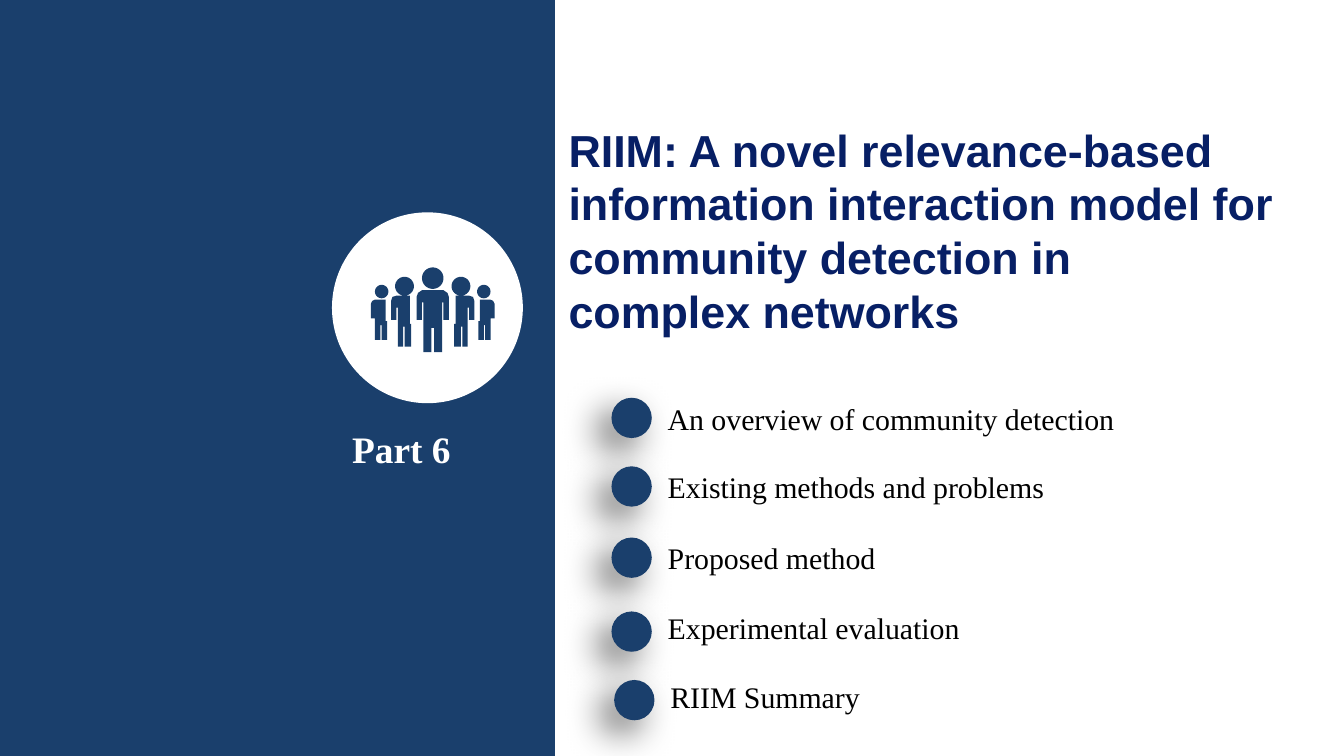
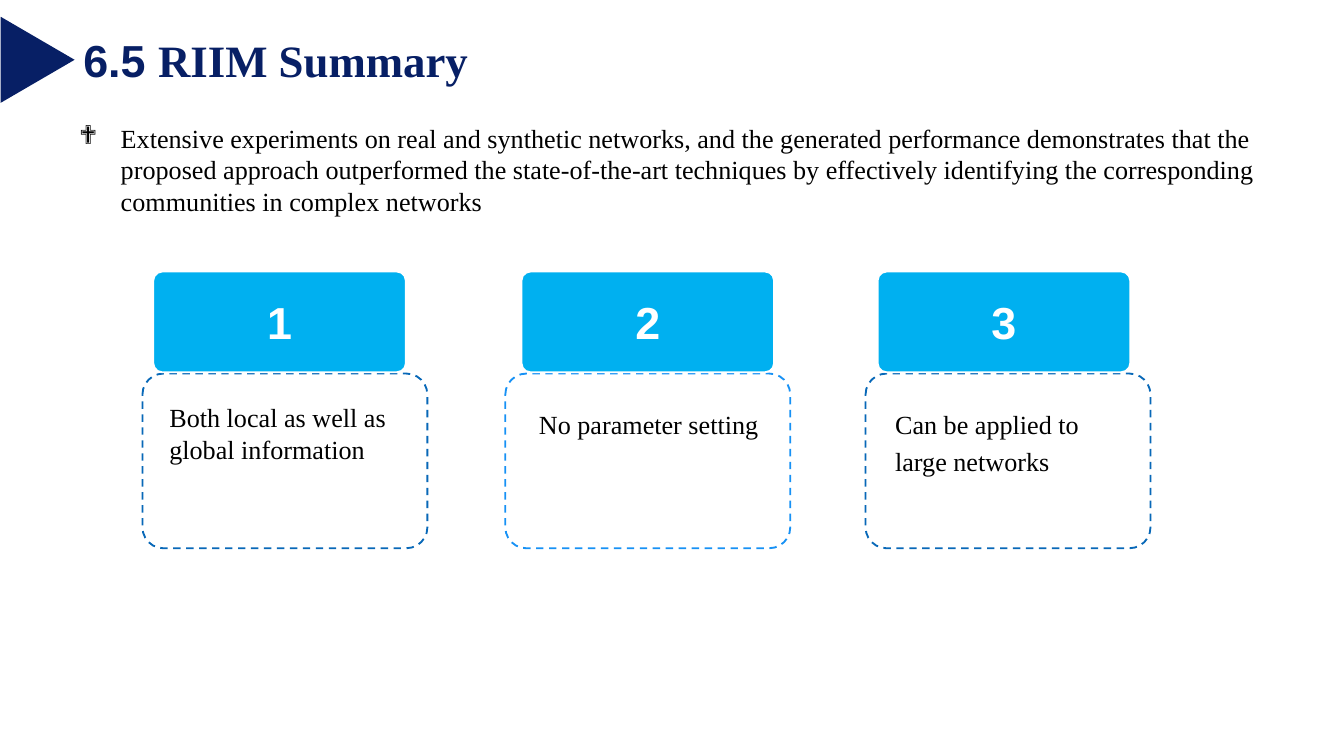
import math

from lxml import etree
from pptx import Presentation
from pptx.dml.color import RGBColor
from pptx.enum import dml, shapes, text
from pptx.oxml import ns
from pptx.util import Inches, Pt

SLIDE_WIDTH = 10
SLIDE_HEIGHT = SLIDE_WIDTH * 9 / 16
NAVY = RGBColor(0x07, 0x1F, 0x65)
STEEL = RGBColor(0x1A, 0x3F, 0x6C)
SKY = RGBColor(0x00, 0xB0, 0xF0)
DEEP_BLUE = RGBColor(0x08, 0x68, 0xB8)
BRIGHT_BLUE = RGBColor(0x17, 0x91, 0xF5)
WHITE = RGBColor(0xFF, 0xFF, 0xFF)
BLACK = RGBColor(0, 0, 0)
SANS, SERIF = "Arial", "Times New Roman"
INSETS = (0.1, 0.05, 0.1, 0.05)
NO_INSETS = (0, 0, 0, 0)

PART_TITLE = [
    "RIIM: A novel relevance-based information interaction model for community detection in",
    "complex networks",
]
# Topic, left of dot, top of dot, top of text
TOPICS = [
    ("An overview of community detection", 4.55, 2.96, 2.93),
    ("Existing methods and problems", 4.55, 3.47, 3.44),
    ("Proposed method", 4.55, 4.0, 3.97),
    ("Experimental evaluation", 4.55, 4.55, 4.49),
    ("RIIM Summary", 4.57, 5.06, 5.0),
]
FINDING = (
    "Extensive experiments on real and synthetic networks, and the generated performance "
    "demonstrates that the proposed approach outperformed the state-of-the-art techniques by "
    "effectively identifying the corresponding communities in complex networks"
)
# Text, box left, header left, text left, outline, line spacing
CARDS = [
    ("Both local as well as global information", 1.06, 1.14, 1.26, DEEP_BLUE, 1.0),
    ("No parameter setting", 3.76, 3.88, 4.01, BRIGHT_BLUE, 1.2),
    ("Can be applied to large networks", 6.44, 6.53, 6.66, DEEP_BLUE, 1.2),
]

# Team icon: the middle person and the two on the left; the right side mirrors them
ICON_AXIS = 3.22
MIDDLE_HEAD = (ICON_AXIS, 2.07, 0.08)
MIDDLE_HALF_BODY = [
    (0.08, 2.16), (0.11, 2.18), (0.12, 2.21), (0.12, 2.38), (0.08, 2.38), (0.08, 2.25),
    (0.07, 2.25), (0.07, 2.62), (0.01, 2.62), (0.01, 2.44),
]
SIDE_HEADS = [(3.01, 2.13, 0.07), (2.84, 2.17, 0.05)]
SIDE_BODIES = [
    [(3.05, 2.2), (3.05, 2.41), (3.06, 2.41), (3.06, 2.58), (3.01, 2.58), (3.01, 2.43),
     (3.0, 2.43), (3.0, 2.58), (2.96, 2.58), (2.96, 2.29), (2.95, 2.29), (2.95, 2.38),
     (2.91, 2.38), (2.91, 2.24), (2.92, 2.21), (2.95, 2.2)],
    [(2.87, 2.23), (2.87, 2.39), (2.88, 2.39), (2.88, 2.53), (2.84, 2.53), (2.84, 2.42),
     (2.83, 2.42), (2.83, 2.53), (2.79, 2.53), (2.79, 2.37), (2.76, 2.37), (2.76, 2.26),
     (2.77, 2.24), (2.79, 2.23)],
]


def format_font(font, name, size, color, bold=False):
    font.name, font.size, font.bold = name, Pt(size), bold
    font.color.rgb = color


def set_insets(frame, insets):
    (frame.margin_left, frame.margin_top,
     frame.margin_right, frame.margin_bottom) = map(Inches, insets)


def add_shape(parent, kind, box, fill, line=None):
    shape = parent.add_shape(kind, *map(Inches, box))
    paint(shape, fill, line)
    return shape


def paint(shape, fill, line=None):
    shape.shadow.inherit = False
    shape.fill.solid()
    shape.fill.fore_color.rgb = fill
    if line is None:
        shape.line.fill.background()
    else:
        shape.line.color.rgb = line
        shape.line.width = Pt(1)


def add_text(slide, content, box, size, color=BLACK, bold=False, insets=INSETS, spacing=1.0):
    frame = slide.shapes.add_textbox(*map(Inches, box)).text_frame
    frame.word_wrap = True
    set_insets(frame, insets)
    frame.text = content
    paragraph = frame.paragraphs[0]
    paragraph.line_spacing = spacing
    format_font(paragraph.runs[0].font, SERIF, size, color, bold)
    return paragraph


def set_title(slide, paragraphs, box):
    """Fill the title; each paragraph is a list of (text, font name) runs."""
    title = slide.shapes.title
    title.left, title.top, title.width, title.height = map(Inches, box)
    frame = title.text_frame
    frame.auto_size = text.MSO_AUTO_SIZE.NONE
    frame.vertical_anchor = text.MSO_ANCHOR.TOP
    frame.word_wrap = True
    set_insets(frame, INSETS)
    for index, runs in enumerate(paragraphs):
        paragraph = frame.add_paragraph() if index else frame.paragraphs[0]
        paragraph.alignment = text.PP_ALIGN.LEFT
        for content, font_name in runs:
            run = paragraph.add_run()
            run.text = content
            format_font(run.font, font_name, 24, NAVY, True)


def add_soft_shadow(shape):
    effects = shape._element.spPr.find(ns.qn("a:effectLst"))
    shadow = etree.SubElement(
        effects, ns.qn("a:outerShdw"), blurRad=str(Pt(20)), dist=str(Pt(10)),
        dir=str(135 * 60000), algn="tr", rotWithShape="0")
    color = etree.SubElement(shadow, ns.qn("a:srgbClr"), val="000000")
    etree.SubElement(color, ns.qn("a:alpha"), val="60000")


def set_bullet(paragraph, character, indent):
    properties = paragraph._p.get_or_add_pPr()
    properties.set("marL", str(Inches(indent)))
    properties.set("indent", str(-Inches(indent)))
    etree.SubElement(properties, ns.qn("a:buFont"), typeface="Wingdings", charset="2")
    etree.SubElement(properties, ns.qn("a:buChar"), char=character)


def circle_points(center_x, center_y, radius, count=32):
    angles = [2 * math.pi * step / count for step in range(count)]
    return [(center_x + radius * math.cos(a), center_y + radius * math.sin(a)) for a in angles]


def mirror(points):
    return [(2 * ICON_AXIS - x, y) for x, y in points]


def add_team_icon(slide):
    group = slide.shapes.add_group_shape().shapes
    add_shape(group, shapes.MSO_SHAPE.OVAL, (2.47, 1.58, 1.42, 1.42), WHITE)
    half = [(ICON_AXIS + x, y) for x, y in MIDDLE_HALF_BODY]
    side = [circle_points(*head) for head in SIDE_HEADS] + SIDE_BODIES
    contours = [circle_points(*MIDDLE_HEAD), half + mirror(half)[::-1]]
    contours += side + [mirror(points) for points in side]
    builder = None
    for points in contours:
        start, *rest = [(Inches(x), Inches(y)) for x, y in points]
        if builder is None:
            builder = group.build_freeform(*start)
        else:
            builder.move_to(*start)
        builder.add_line_segments(rest, close=True)
    paint(builder.convert_to_shape(), STEEL)


def build_part_slide(slide):
    add_shape(slide.shapes, shapes.MSO_SHAPE.RECTANGLE, (0, 0, 4.13, SLIDE_HEIGHT), STEEL)
    set_title(slide, [[(line, SANS)] for line in PART_TITLE], (4.13, 0.86, 5.87, 1.72))
    add_text(slide, "Part 6", (2.62, 3.17, 1.36, 0.34), 20, WHITE, True, NO_INSETS)
    add_team_icon(slide)
    for topic, dot_left, dot_top, text_top in TOPICS:
        dot = add_shape(slide.shapes, shapes.MSO_SHAPE.OVAL, (dot_left, dot_top, 0.3, 0.3), STEEL)
        add_soft_shadow(dot)
        add_text(slide, topic, (dot_left + 0.32, text_top, 3.6, 0.37), 16)


def build_summary_slide(slide):
    set_title(slide, [[("6.5 ", SANS), ("RIIM Summary", SERIF)]], (0.52, 0.19, 3.4, 0.5))
    marker = add_shape(slide.shapes, shapes.MSO_SHAPE.ISOSCELES_TRIANGLE,
                       (-0.04, 0.17, 0.64, 0.55), NAVY)
    marker.rotation = 90
    set_bullet(add_text(slide, FINDING, (0.49, 0.86, 9.01, 0.81), 14), "❖", 0.31)

    rounded = shapes.MSO_SHAPE.ROUNDED_RECTANGLE
    for number, card in enumerate(CARDS, 1):
        content, box_left, header_left, text_left, outline, spacing = card
        box = add_shape(slide.shapes, rounded, (box_left, 2.78, 2.12, 1.3), WHITE, outline)
        box.adjustments[0] = 0.12
        box.line.dash_style = dml.MSO_LINE.DASH
        header = add_shape(slide.shapes, rounded, (header_left, 2.02, 1.88, 0.75), SKY, WHITE)
        header.adjustments[0] = 0.09
        header.text_frame.text = str(number)
        header.text_frame.vertical_anchor = text.MSO_ANCHOR.MIDDLE
        paragraph = header.text_frame.paragraphs[0]
        paragraph.alignment = text.PP_ALIGN.CENTER
        format_font(paragraph.runs[0].font, SANS, 24, WHITE, True)
        add_text(slide, content, (text_left, 2.99, 1.75, 0.57), 14,
                 insets=NO_INSETS, spacing=spacing)


def main():
    presentation = Presentation()
    presentation.slide_width = Inches(SLIDE_WIDTH)
    presentation.slide_height = Inches(SLIDE_HEIGHT)
    title_only = presentation.slide_layouts[5]
    for build in (build_part_slide, build_summary_slide):
        build(presentation.slides.add_slide(title_only))
    presentation.save("out.pptx")


if __name__ == "__main__":
    main()
